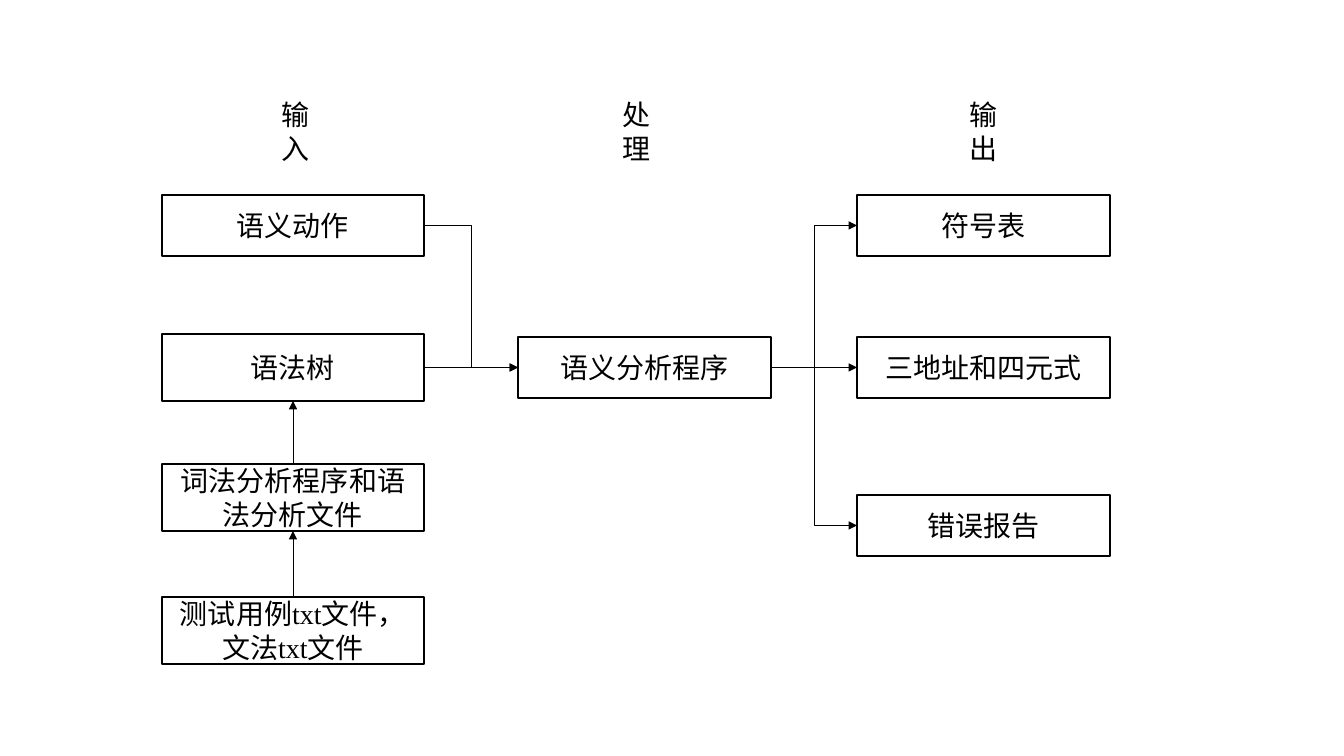
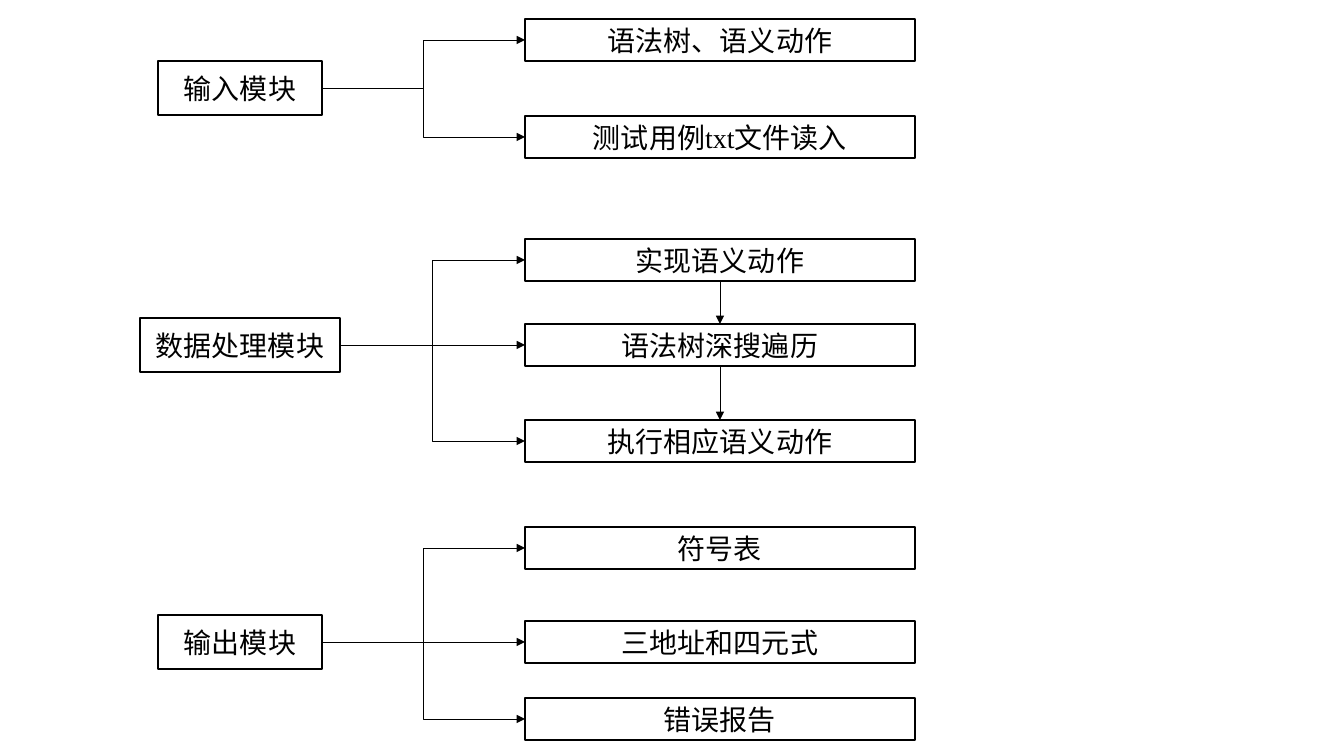
import pptx
import pptx.util
import pptx.dml.color
import pptx.enum.dml
import pptx.enum.lang
import pptx.enum.shapes
import pptx.enum.text
import pptx.oxml
import pptx.oxml.ns
import lxml.etree

PIXEL = 914400 / 100.8
BLACK = pptx.dml.color.RGBColor(0x00, 0x00, 0x00)
WHITE = pptx.dml.color.RGBColor(0xFF, 0xFF, 0xFF)
CJK_FONT = "Noto Sans CJK SC"
LATIN_FONT = "Times New Roman"
TEXT_SIZE = pptx.util.Pt(20)
TOP, LEFT, BOTTOM, RIGHT = range(4)  # connection sites of a rectangle


def px(pixels):
    return pptx.util.Emu(round(pixels * PIXEL))


def add_child(parent, tag, **attributes):
    return lxml.etree.SubElement(parent, pptx.oxml.ns.qn(tag), **attributes)


def format_text(frame, text, latin_font):
    frame.text = text
    frame.word_wrap = True
    for para in frame.paragraphs:
        for span in para.runs:
            font = span.font
            font.size = TEXT_SIZE
            font.color.rgb = BLACK
            font.name = latin_font
            font.language_id = pptx.enum.lang.MSO_LANGUAGE_ID.SIMPLIFIED_CHINESE
            add_child(span._r.get_or_add_rPr(), "a:ea", typeface=CJK_FONT)


def add_heading(page, box, text):
    heading = page.shapes.add_textbox(*map(px, box))
    format_text(heading.text_frame, text, CJK_FONT)
    heading.text_frame.auto_size = pptx.enum.text.MSO_AUTO_SIZE.SHAPE_TO_FIT_TEXT


def add_step(page, box, text):
    step = page.shapes.add_shape(
        pptx.enum.shapes.MSO_SHAPE.RECTANGLE, *map(px, box))
    step.shadow.inherit = False
    step.fill.solid()
    step.fill.fore_color.rgb = WHITE
    step.line.color.rgb = BLACK
    step.line.width = pptx.util.Pt(1)
    format_text(step.text_frame, text, LATIN_FONT)
    step.text_frame.vertical_anchor = pptx.enum.text.MSO_ANCHOR.MIDDLE
    step.text_frame.paragraphs[0].alignment = pptx.enum.text.PP_ALIGN.CENTER
    return step


def add_arrow(page, source, target, start=RIGHT, end=LEFT):
    """Joins two steps: straight when they are level or stacked, else bent."""
    level = abs(source.top + source.height / 2
                - target.top - target.height / 2) < px(1)
    kinds = pptx.enum.shapes.MSO_CONNECTOR
    kind = kinds.STRAIGHT if level or start != RIGHT else kinds.ELBOW
    arrow = page.shapes.add_connector(kind, 0, 0, 0, 0)
    arrow.begin_connect(source, start)
    arrow.end_connect(target, end)
    arrow.line.color.rgb = BLACK
    arrow.line.width = pptx.util.Pt(0.5)
    add_child(arrow.line._get_or_add_ln(), "a:tailEnd", type="triangle")
    add_child(arrow._element.spPr, "a:effectLst")


def add_column(page, box, rows):
    """Stacks steps in a box; each row is (offset from its top, height, text)."""
    left, top, width = box
    return [add_step(page, (left, top + offset, width, height), text)
            for offset, height, text in rows]


def build_flow(page, box):
    left, top = box
    # Column headings
    for offset, width, text in ((110, 52, "输入"), (451, 59, "处理"),
                                (798, 47, "输出")):
        add_heading(page, (left + offset, top, width, 78), text)
    # Inputs, process and outputs
    steps_top = top + 102
    actions, tree, parsers, files = add_column(page, (left, steps_top, 262), (
        (0, 61, "语义动作"),
        (139, 67, "语法树"),
        (269, 67, "词法分析程序和语法分析文件"),
        (402, 67, "测试用例txt文件，文法txt文件")))
    program, = add_column(page, (left + 356, steps_top, 253),
                          ((142, 61, "语义分析程序"),))
    results = add_column(page, (left + 695, steps_top, 253), (
        (0, 61, "符号表"),
        (142, 61, "三地址和四元式"),
        (300, 61, "错误报告")))
    # Arrows
    for source in (actions, tree):
        add_arrow(page, source, program)
    for result in results:
        add_arrow(page, program, result)
    for source, target in ((files, parsers), (parsers, tree)):
        add_arrow(page, source, target, TOP, BOTTOM)


def build_module(page, box, name, name_offset, name_width, parts, chained=False):
    """Puts a module left of its parts, given as (offset from the top, text)."""
    center, top, width = box
    module = add_step(page, (center - name_width / 2, top + name_offset,
                             name_width, 54), name)
    steps = add_column(page, (center + 285, top, width),
                       [(offset, 42, text) for offset, text in parts])
    for step in steps:
        add_arrow(page, module, step)
    if chained:
        for source, target in zip(steps, steps[1:]):
            add_arrow(page, source, target, BOTTOM, TOP)


def build_modules(page, box):
    center, top, width = box
    build_module(page, (center, top, width), "输入模块", 42, 164,
                 ((0, "语法树、语义动作"), (97, "测试用例txt文件读入")))
    build_module(page, (center, top + 220, width), "数据处理模块", 79, 200,
                 ((0, "实现语义动作"), (85, "语法树深搜遍历"),
                  (181, "执行相应语义动作")), chained=True)
    build_module(page, (center, top + 508, width), "输出模块", 88, 164,
                 ((0, "符号表"), (94, "三地址和四元式"), (171, "错误报告")))


deck = pptx.Presentation()
deck.slide_width, deck.slide_height = px(1344), px(756)
blank = deck.slide_layouts[6]
build_flow(deck.slides.add_slide(blank), (162, 93))
build_modules(deck.slides.add_slide(blank), (240, 19, 390))
deck.save("out.pptx")
